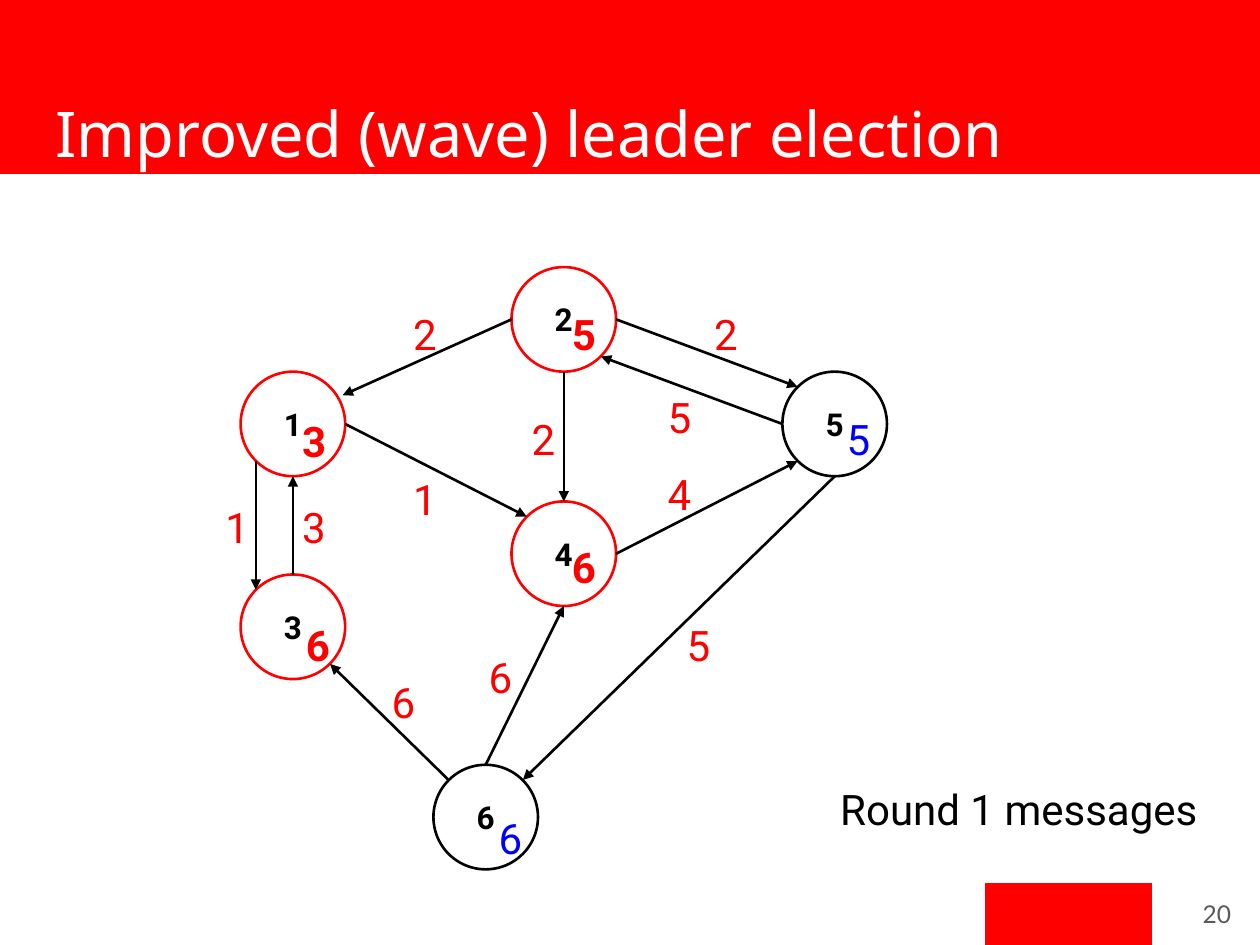
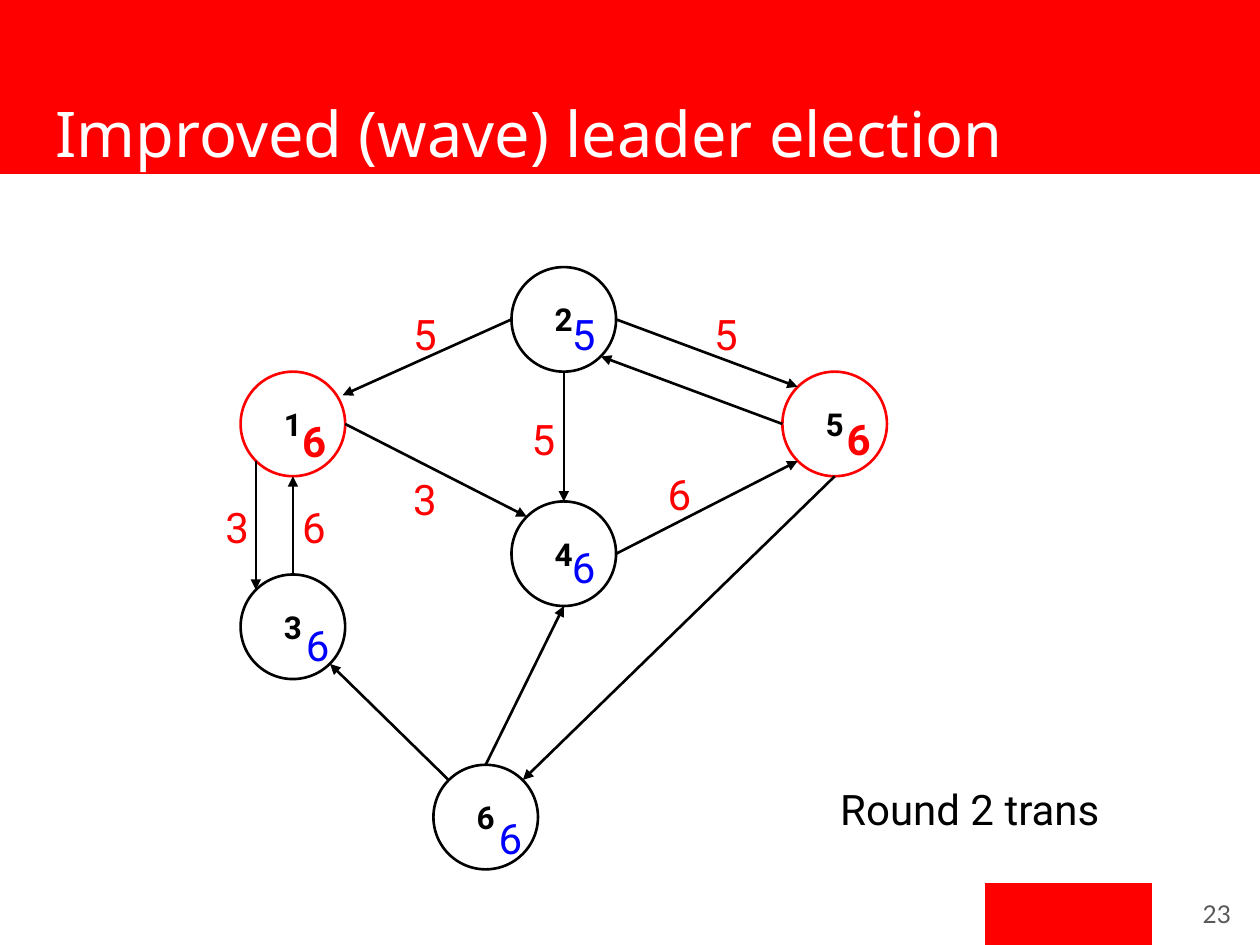
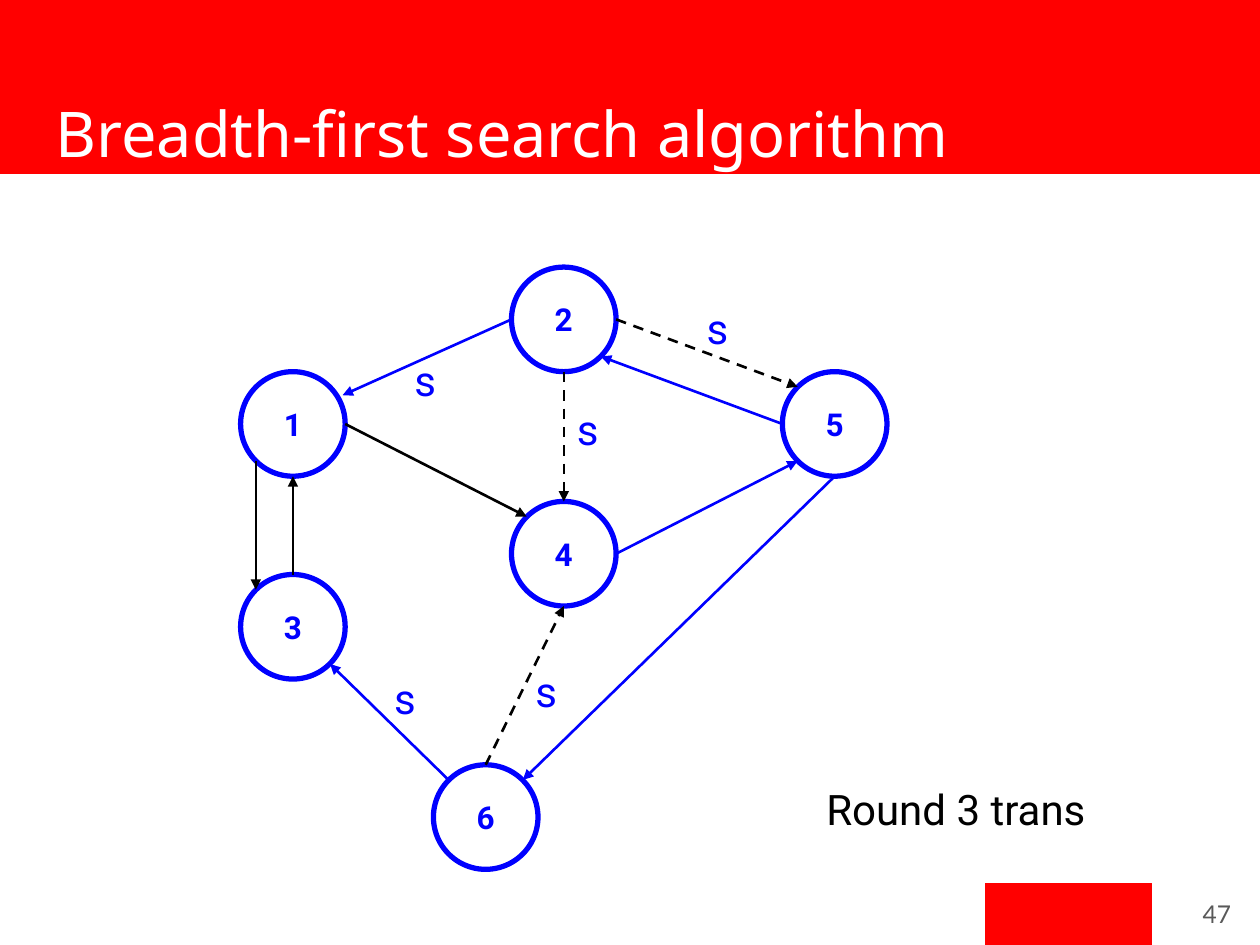
import pptx
import pptx.dml.color
import pptx.enum.dml
import pptx.enum.shapes
import pptx.enum.text
import pptx.oxml
import pptx.oxml.ns
import pptx.util
from pptx.util import Inches

RED, BLUE, BLACK, WHITE, GREY = "FF0000", "0000FF", "000000", "FFFFFF", "595959"
TITLE_FONT, BODY_FONT, NUMBER_FONT = "Noto Sans", "Roboto", "Lato"
ALIGN = pptx.enum.text.PP_ALIGN
ANCHOR = pptx.enum.text.MSO_ANCHOR
SHAPE = pptx.enum.shapes.MSO_SHAPE

NODE_SIZE = 0.83
NODES = {
    1: (1.91, 2.95), 2: (4.06, 2.12), 5: (6.21, 2.95),
    3: (1.91, 4.56), 4: (4.06, 3.98), 6: (3.44, 6.07),
}
SITES = {
    "top": (0, -1), "bottom": (0, 1), "left": (-1, 0), "right": (1, 0),
    "top left": (-0.71, -0.71), "top right": (0.71, -0.71),
    "bottom left": (-0.71, 0.71), "bottom right": (0.71, 0.71),
    "upper right": (0.95, -0.55),
}
EDGES = {
    (2, 1): ("left", "upper right"), (2, 4): ("bottom", "top"),
    (2, 5): ("right", "top left"), (5, 2): ("left", "bottom right"),
    (4, 5): ("right", "bottom left"), (5, 6): ("bottom", "top right"),
    (6, 4): ("top", "bottom"), (6, 3): ("top left", "bottom right"),
    (3, 1): ("top", "bottom"), (1, 3): ("bottom left", "top left"),
    (1, 4): ("right", "top left"),
}
VALUE_PLACES = {
    6: (3.86, 6.35), 3: (2.33, 4.82), 1: (2.3, 3.2),
    2: (4.44, 2.35), 5: (6.62, 3.18), 4: (4.44, 4.2),
}
MESSAGE_PLACES = {
    (1, 4): (3.18, 3.66), (1, 3): (1.69, 3.88), (3, 1): (2.3, 3.88),
    (6, 4): (3.78, 5.07), (6, 3): (3.01, 5.27), (2, 4): (4.12, 3.18),
    (2, 1): (3.18, 2.35), (2, 5): (5.57, 2.35), (5, 2): (5.2, 3.01),
    (5, 6): (5.35, 4.82), (4, 5): (5.2, 3.62),
}
SEARCH_PLACES = {
    (2, 1): (3.19, 2.71), (6, 3): (3.03, 5.24), (2, 5): (5.51, 2.3),
    (6, 4): (4.15, 5.18), (2, 4): (4.48, 3.1),
}
TREE_EDGES = {(2, 1), (5, 2), (4, 5), (5, 6), (6, 3)}
DASHED_EDGES = {(2, 4), (2, 5), (6, 4)}

ELECTION_ROUNDS = [
    {
        "number": 20, "caption": "Round 1 messages",
        "values": {1: 3, 2: 5, 3: 6, 4: 6, 5: 5, 6: 6}, "changed": {1, 2, 3, 4},
        "messages": {edge: edge[0] for edge in EDGES},
    },
    {
        "number": 23, "caption": "Round 2 trans",
        "values": {1: 6, 2: 5, 3: 6, 4: 6, 5: 6, 6: 6}, "changed": {1, 5},
        "messages": {(1, 4): 3, (1, 3): 3, (3, 1): 6, (2, 4): 5,
                     (2, 1): 5, (2, 5): 5, (4, 5): 6},
    },
]


def rgb(value):
    """Turn a hex string into a colour."""
    return pptx.dml.color.RGBColor.from_string(value)


def write(shape, text, size, color, font=BODY_FONT, bold=False,
          align=ALIGN.LEFT, anchor=ANCHOR.TOP):
    """Put one formatted line of text into a shape."""
    frame = shape.text_frame
    frame.text = str(text)
    frame.word_wrap = True
    frame.auto_size = pptx.enum.text.MSO_AUTO_SIZE.NONE
    frame.vertical_anchor = anchor
    frame.margin_left = frame.margin_right = Inches(0.1)
    frame.margin_top = frame.margin_bottom = Inches(0.1)
    para = frame.paragraphs[0]
    para.alignment = align
    para.font.name = font
    para.font.size = pptx.util.Pt(size)
    para.font.bold = bold
    para.font.color.rgb = rgb(color)


def add_text(page, text, place, size, color, **style):
    """Add a text box at left, top, width, height."""
    box = page.shapes.add_textbox(*map(Inches, place))
    write(box, text, size, color, **style)


def add_outline(page, kind, place, color, width, fill=None):
    """Add a preset shape without shadow."""
    shape = page.shapes.add_shape(kind, *map(Inches, place))
    shape.shadow.inherit = False
    shape.line.color.rgb = rgb(color)
    shape.line.width = pptx.util.Pt(width)
    if fill:
        shape.fill.solid()
        shape.fill.fore_color.rgb = rgb(fill)
    else:
        shape.fill.background()
    return shape


def add_node(page, node, ring=BLACK, color=BLACK, width=1.5):
    """Add the numbered circle of one process."""
    circle = add_outline(page, SHAPE.OVAL, (*NODES[node], NODE_SIZE, NODE_SIZE), ring, width)
    write(circle, node, 18, color, bold=True, align=ALIGN.CENTER, anchor=ANCHOR.MIDDLE)


def rim_point(node, site):
    """Find a named point on the rim of a node."""
    return [Inches(corner + NODE_SIZE / 2 * (1 + offset))
            for corner, offset in zip(NODES[node], SITES[site])]


def add_edge(page, edge, color=BLACK, dashed=False):
    """Add the arrow between two nodes."""
    ends = [rim_point(node, site) for node, site in zip(edge, EDGES[edge])]
    arrow = page.shapes.add_connector(pptx.enum.shapes.MSO_CONNECTOR.STRAIGHT, *ends[0], *ends[1])
    arrow.line.color.rgb = rgb(color)
    arrow.line.width = pptx.util.Pt(1.5)
    if dashed:
        arrow.line.dash_style = pptx.enum.dml.MSO_LINE.DASH
    head = pptx.oxml.parse_xml(f'<a:tailEnd {pptx.oxml.ns.nsdecls("a")} type="triangle"/>')
    arrow.line._get_or_add_ln().append(head)
    effects = pptx.oxml.parse_xml(f'<a:effectLst {pptx.oxml.ns.nsdecls("a")}/>')
    arrow.element.spPr.append(effects)


def decorate_layout(page):
    """Draw the title band and the footer block and place them in the layout."""
    layout_title = page.slide_layout.placeholders[0]
    for place in ((0, 0, 10, 1.38), (7.82, 7.01, 1.32, 0.49)):
        block = add_outline(page, SHAPE.RECTANGLE, place, RED, 0.75, RED)
        layout_title.element.addprevious(block.element)


def add_page(deck, title, number):
    """Add a slide with its title and number."""
    page = deck.slides.add_slide(deck.slide_layouts[5])
    heading = page.shapes.title
    heading.left, heading.top, heading.width, heading.height = map(Inches, (0.34, 0.65, 9.32, 0.83))
    write(heading, title, 36, WHITE, TITLE_FONT)
    add_text(page, number, (9.27, 6.97, 0.6, 0.57), 14, GREY, font=NUMBER_FONT,
             align=ALIGN.RIGHT, anchor=ANCHOR.MIDDLE)
    return page


def add_election_page(deck, number, caption, values, changed, messages):
    """Add one round of the leader election."""
    page = add_page(deck, "Improved (wave) leader election", number)
    for node in NODES:
        add_node(page, node, RED if node in changed else BLACK)
    for edge in EDGES:
        add_edge(page, edge)
    add_text(page, caption, (6.57, 6.12, 3.09, 0.57), 24, BLACK)
    for node, place in VALUE_PLACES.items():
        fresh = node in changed
        add_text(page, values[node], (*place, 0.41, 0.57), 24, RED if fresh else BLUE, bold=fresh)
    for edge, message in messages.items():
        add_text(page, message, (*MESSAGE_PLACES[edge], 0.41, 0.57), 24, RED)
    return page


def add_search_page(deck):
    """Add the last round of the breadth-first search."""
    page = add_page(deck, "Breadth-first search algorithm", 47)
    for node in NODES:
        add_node(page, node, BLUE, BLUE, 3)
    for edge in EDGES:
        add_edge(page, edge, BLUE if edge in TREE_EDGES else BLACK, edge in DASHED_EDGES)
    add_text(page, "Round 3 trans", (6.46, 6.12, 3.2, 0.57), 24, BLACK)
    for place in SEARCH_PLACES.values():
        add_text(page, "s", (*place, 0.42, 0.54), 24, BLUE)


def main():
    """Build the deck and save it."""
    deck = pptx.Presentation()
    deck.slide_width, deck.slide_height = Inches(10), Inches(7.5)
    pages = [add_election_page(deck, **election) for election in ELECTION_ROUNDS]
    decorate_layout(pages[0])
    add_search_page(deck)
    deck.save("out.pptx")


if __name__ == "__main__":
    main()
